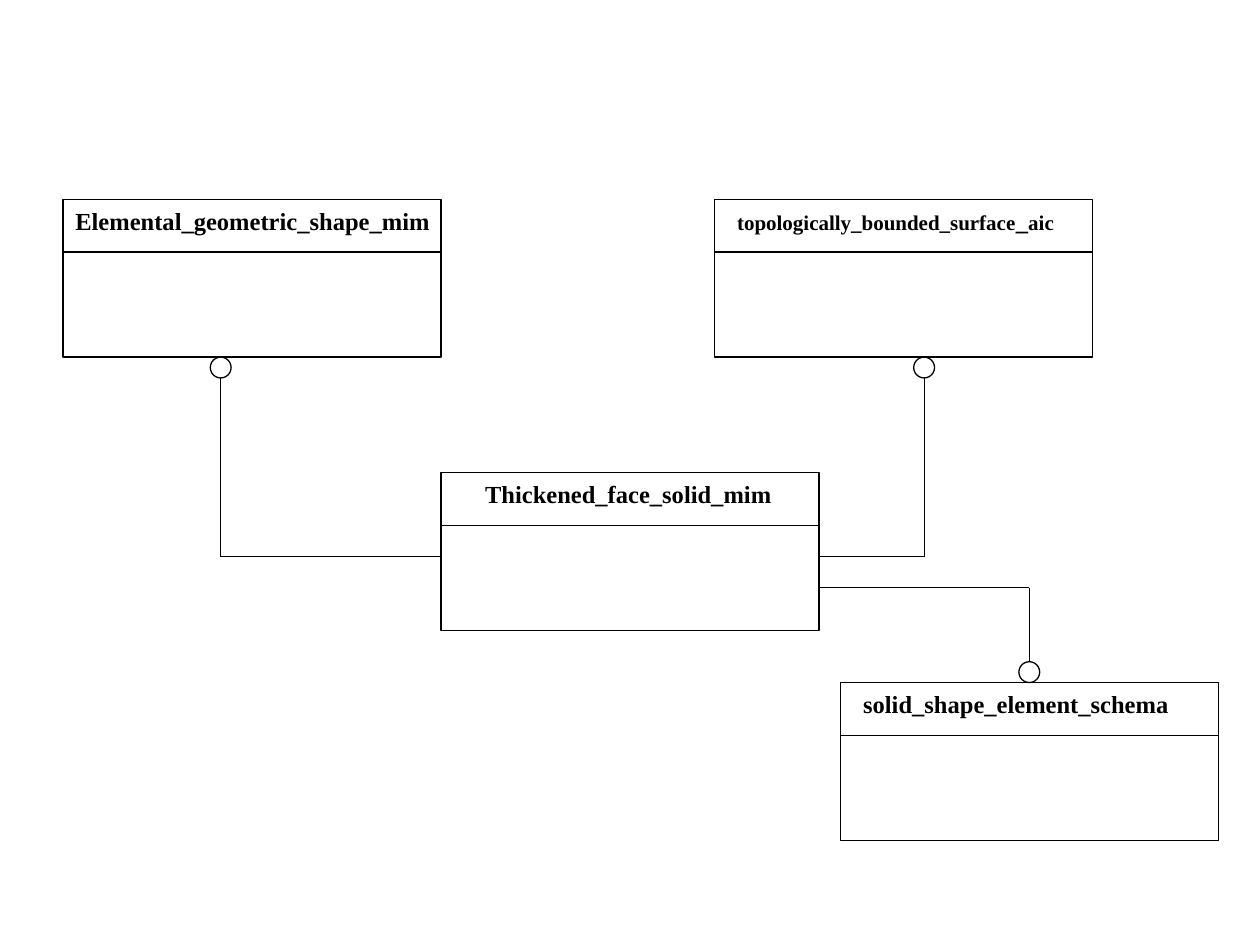
"""Build a schema reference diagram of four boxes joined by circle-ended links."""
from dataclasses import dataclass

from lxml import etree
from pptx import Presentation
from pptx.dml.color import RGBColor
from pptx.enum import shapes, text
from pptx.oxml import ns
from pptx import util as u

BLACK = RGBColor(0x00, 0x00, 0x00)
LINE_WIDTH = u.Pt(0.75)
BOX_WIDTH, BOX_HEIGHT, HEADER_HEIGHT = 7.62, 3.18, 1.06
TITLE_HEIGHT = 0.86
CIRCLE_SIZE = 0.42
TITLE_FORMAT = {"name": "Times New Roman", "bold": True}
FRAME_FORMAT = {
    "margin_left": u.Cm(0.25),
    "margin_right": u.Cm(0.25),
    "margin_top": u.Cm(0.13),
    "margin_bottom": u.Cm(0.13),
    "word_wrap": False,
    "auto_size": text.MSO_AUTO_SIZE.SHAPE_TO_FIT_TEXT,
    "vertical_anchor": text.MSO_ANCHOR.TOP,
}


@dataclass(frozen=True)
class SchemaBox:
    left: float
    top: float
    title_indent: float
    title_width: float
    spans: tuple[tuple[str, int], ...]


@dataclass(frozen=True)
class Link:
    circle_x: float
    circle_top: float
    line_start: float
    corner_y: float
    box_edge: float


BOXES = (
    SchemaBox(8.89, 9.53, 0.64, 6.37, (("Thickened_face_solid_mim", 14),)),
    SchemaBox(1.27, 4.02, 0, 7.75, (("Elemental_geometric_shape_mim", 14),)),
    SchemaBox(14.4, 4.02, 0.21, 6.98,
              (("topologically_bounded_surface", 12), ("_", 14), ("aic", 12))),
    SchemaBox(16.94, 13.76, 0.21, 6.75, (("solid_shape_element_schema", 14),)),
)
LINKS = (
    Link(4.45, 7.2, 7.62, 11.22, 8.89),
    Link(18.63, 7.2, 7.62, 11.22, 16.51),
    Link(20.75, 13.34, 13.34, 11.85, 16.51),
)


def apply_format(target: object, values: dict) -> None:
    for name, value in values.items():
        setattr(target, name, value)


def draw_outline(page, kind, left: float, top: float, width: float, height: float) -> None:
    outline = page.shapes.add_shape(kind, u.Cm(left), u.Cm(top), u.Cm(width), u.Cm(height))
    outline.shadow.inherit = False
    outline.fill.background()
    outline.line.color.rgb = BLACK
    outline.line.width = LINE_WIDTH


def draw_line(page, x1: float, y1: float, x2: float, y2: float) -> None:
    line = page.shapes.add_connector(
        shapes.MSO_CONNECTOR.STRAIGHT, u.Cm(x1), u.Cm(y1), u.Cm(x2), u.Cm(y2))
    line.line.color.rgb = BLACK
    line.line.width = LINE_WIDTH
    etree.SubElement(line._element.spPr, ns.qn("a:effectLst"))


def draw_box(page, box: SchemaBox) -> None:
    draw_outline(page, shapes.MSO_SHAPE.RECTANGLE, box.left, box.top, BOX_WIDTH, BOX_HEIGHT)
    divider = box.top + HEADER_HEIGHT
    draw_line(page, box.left, divider, box.left + BOX_WIDTH, divider)
    title = page.shapes.add_textbox(
        u.Cm(box.left + box.title_indent), u.Cm(box.top),
        u.Cm(box.title_width), u.Cm(TITLE_HEIGHT))
    apply_format(title.text_frame, FRAME_FORMAT)
    para = title.text_frame.paragraphs[0]
    for words, size in box.spans:
        span = para.add_run()
        span.text = words
        apply_format(span.font, TITLE_FORMAT | {"size": u.Pt(size)})
        span.font.color.rgb = BLACK


def draw_link(page, link: Link) -> None:
    draw_outline(page, shapes.MSO_SHAPE.OVAL, link.circle_x - CIRCLE_SIZE / 2,
                 link.circle_top, CIRCLE_SIZE, CIRCLE_SIZE)
    draw_line(page, link.circle_x, link.line_start, link.circle_x, link.corner_y)
    draw_line(page, link.circle_x, link.corner_y, link.box_edge, link.corner_y)


def main() -> None:
    deck = Presentation()
    deck.slide_width, deck.slide_height = u.Cm(25.4), u.Cm(19.05)
    page = deck.slides.add_slide(deck.slide_layouts[6])
    for box in BOXES:
        draw_box(page, box)
    for link in LINKS:
        draw_link(page, link)
    deck.save("out.pptx")


if __name__ == "__main__":
    main()
